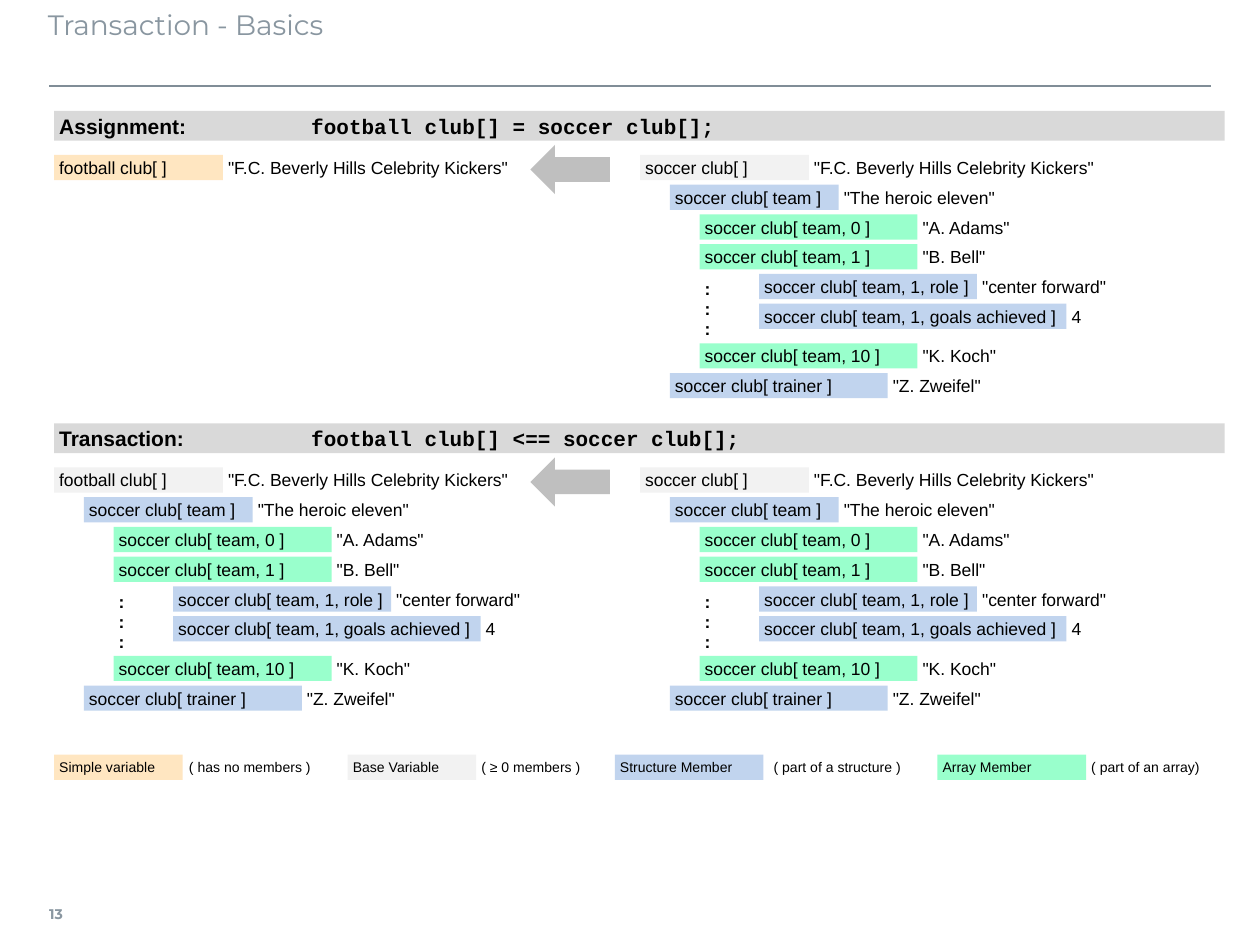
from dataclasses import dataclass

from lxml import etree
from pptx import Presentation
from pptx import util as u
from pptx.dml.color import RGBColor
from pptx.enum import shapes, text
from pptx.oxml import ns

COLORS = {
    "simple": "FFE6C1", "base": "F2F2F2", "structure": "C1D4EE", "array": "99FFCC",
    "band": "D9D9D9", "arrow": "BFBFBF", "rule": "808D97", "heading": "8996A0",
    "text": "000000",
}
STEP = 6 / 25.4  # grid of 6 mm for rows and indents
ROW_HEIGHT = 0.2
LEFT, RIGHT = 0.43, 5.08
INSETS = (0.04, 0.04, 0.04, 0.04)


@dataclass(frozen=True)
class Member:
    """One variable of a tree; row and indent count grid steps."""
    name: str
    value: str
    kind: str
    row: float
    indent: int
    width: float
    value_width: float


@dataclass(frozen=True)
class Section:
    """One operation with its heading band."""
    top: float
    title: str
    code: str


@dataclass(frozen=True)
class LegendEntry:
    """One colour key with its remark."""
    left: float
    width: float
    label: str
    kind: str
    remark_left: float
    remark: str
    remark_width: float


CLUB = '"F.C. Beverly Hills Celebrity Kickers"'
MEMBERS = [
    Member("soccer club[ team ]", '"The heroic eleven"', "structure", 1, 1, 1.34, 2.28),
    Member("soccer club[ team, 0 ]", '"A. Adams"', "array", 2, 2, 1.73, 1.26),
    Member("soccer club[ team, 1 ]", '"B. Bell"', "array", 3, 2, 1.73, 1.26),
    Member("soccer club[ team, 1, role ]", '"center forward"', "structure", 4, 4, 1.73, 1.1),
    Member("soccer club[ team, 1, goals achieved ]", "4", "structure", 5, 4, 2.44, 0.39),
    Member("soccer club[ team, 10 ]", '"K. Koch"', "array", 6.33, 2, 1.73, 1.26),
    Member("soccer club[ trainer ]", '"Z. Zweifel"', "structure", 7.33, 1, 1.73, 1.73),
]
ASSIGNMENT = Section(0.88, "Assignment:", "\tfootball club[] = soccer club[];")
TRANSACTION = Section(3.36, "Transaction:", " \tfootball club[] <== soccer club[];")
LEGEND_TOP = 5.99
LEGEND = [
    LegendEntry(0.43, 1.02, "Simple variable", "simple", 1.46, "( has no members )", 1.34),
    LegendEntry(2.76, 1.02, "Base Variable", "base", 3.78, "( ≥ 0 members )", 1.22),
    LegendEntry(4.88, 1.18, "Structure Member", "structure", 6.1, "( part of a structure )", 1.34),
    LegendEntry(7.44, 1.18, "Array Member", "array", 8.62, "( part of an array)", 1.18),
]


def rgb(name: str) -> RGBColor:
    """Look up a colour by its name."""
    return RGBColor.from_string(COLORS[name])


def add_block(slide, kind, left: float, top: float, width: float, height: float, fill: str):
    """Add a filled shape without outline or shadow."""
    shape = slide.shapes.add_shape(kind, *map(u.Inches, (left, top, width, height)))
    shape.shadow.inherit = False
    shape.fill.solid()
    shape.fill.fore_color.rgb = rgb(fill)
    shape.line.fill.background()
    return shape


def set_text(shape, runs: list[str], size: float, bold: bool = False, font: str = "Arial",
             color: str = "text", insets=INSETS, anchor=text.MSO_ANCHOR.MIDDLE,
             wrap: bool = False):
    """Write one left-aligned paragraph and return it."""
    frame = shape.text_frame
    frame.word_wrap = wrap
    frame.vertical_anchor = anchor
    frame.margin_left, frame.margin_top, frame.margin_right, frame.margin_bottom = map(
        u.Inches, insets)
    paragraph = frame.paragraphs[0]
    paragraph.alignment = text.PP_ALIGN.LEFT
    paragraph.font.size = u.Pt(size)
    paragraph.font.bold = bold
    paragraph.font.name = font
    paragraph.font.color.rgb = rgb(color)
    for words in runs:
        paragraph.add_run().text = words
    return paragraph


def set_tab(paragraph, position: float) -> None:
    """Give a paragraph one left tab stop."""
    tabs = etree.Element(ns.qn("a:tabLst"))
    etree.SubElement(tabs, ns.qn("a:tab"), pos=str(u.Inches(position)), algn="l")
    paragraph._p.get_or_add_pPr().insert(0, tabs)


def add_text(slide, left: float, top: float, width: float, height: float, words: str,
             size: float, **style) -> None:
    """Add a text box with one run."""
    box = slide.shapes.add_textbox(*map(u.Inches, (left, top, width, height)))
    set_text(box, [words], size, **style)


def add_label(slide, left: float, top: float, width: float, words: str, kind: str,
              size: float = 10) -> None:
    """Add a coloured name field."""
    shape = add_block(slide, shapes.MSO_SHAPE.RECTANGLE, left, top, width, ROW_HEIGHT, kind)
    set_text(shape, [words], size)


def add_member(slide, member: Member, left: float, top: float) -> None:
    """Add a variable name and its value in a tree that starts at left, top."""
    left += member.indent * STEP
    top += member.row * STEP
    add_label(slide, left, top, member.width, member.name, member.kind)
    add_text(slide, left + member.width, top, member.value_width, ROW_HEIGHT, member.value, 10)


def add_root(slide, name: str, kind: str, left: float, top: float) -> None:
    """Add the first variable of a tree."""
    add_member(slide, Member(name, CLUB, kind, 0, 0, 1.34, 2.4), left, top)


def add_tree(slide, name: str, left: float, top: float) -> None:
    """Add a base variable with all its members and the omission dots."""
    add_root(slide, name, "base", left, top)
    for member in MEMBERS:
        add_member(slide, member, left, top)
    for index in range(3):
        add_text(slide, left + 2 * STEP, top + (4 + index * 2 / 3) * STEP, 0.16, STEP,
                 ":", 10, bold=True)


def add_section(slide, section: Section) -> float:
    """Add heading band, arrow and source tree; return the top of the trees."""
    band = add_block(slide, shapes.MSO_SHAPE.RECTANGLE, LEFT, section.top, 9.29, STEP, "band")
    paragraph = set_text(band, [section.title, section.code], 12, bold=True)
    paragraph.runs[1].font.name = "Courier New"
    set_tab(paragraph, 2)
    add_block(slide, shapes.MSO_SHAPE.LEFT_ARROW, 4.21, section.top + 0.27, 0.63, 0.39, "arrow")
    tree_top = section.top + 0.35
    add_tree(slide, "soccer club[ ]", RIGHT, tree_top)
    return tree_top


def add_rule(slide) -> None:
    """Add the line below the title."""
    rule = slide.shapes.add_connector(
        shapes.MSO_CONNECTOR.STRAIGHT, *map(u.Inches, (0.39, 0.68, 9.61, 0.68)))
    rule.line.color.rgb = rgb("rule")
    rule.line.width = u.Pt(1)
    etree.SubElement(rule._element.spPr, ns.qn("a:effectLst"))


def main() -> None:
    """Build the slide and save it."""
    presentation = Presentation()
    presentation.slide_width, presentation.slide_height = u.Inches(10), u.Inches(7.5)
    slide = presentation.slides.add_slide(presentation.slide_layouts[6])

    add_rule(slide)
    add_text(slide, 0.39, 7.06, 0.35, 0.39, "13", 8, bold=True, font="Montserrat",
             color="heading", insets=(0, 0.05, 0.08, 0.05))
    add_text(slide, 0.38, 0.01, 9.21, 0.63, "Transaction - Basics", 16, font="Montserrat",
             color="heading", insets=(0, 0.05, 0.1, 0.05), anchor=text.MSO_ANCHOR.TOP, wrap=True)

    add_root(slide, "football club[ ]", "simple", LEFT, add_section(slide, ASSIGNMENT))
    add_tree(slide, "football club[ ]", LEFT, add_section(slide, TRANSACTION))

    for entry in LEGEND:
        add_label(slide, entry.left, LEGEND_TOP, entry.width, entry.label, entry.kind, 8)
        add_text(slide, entry.remark_left, LEGEND_TOP, entry.remark_width, ROW_HEIGHT,
                 entry.remark, 8)

    presentation.save("out.pptx")


main()
